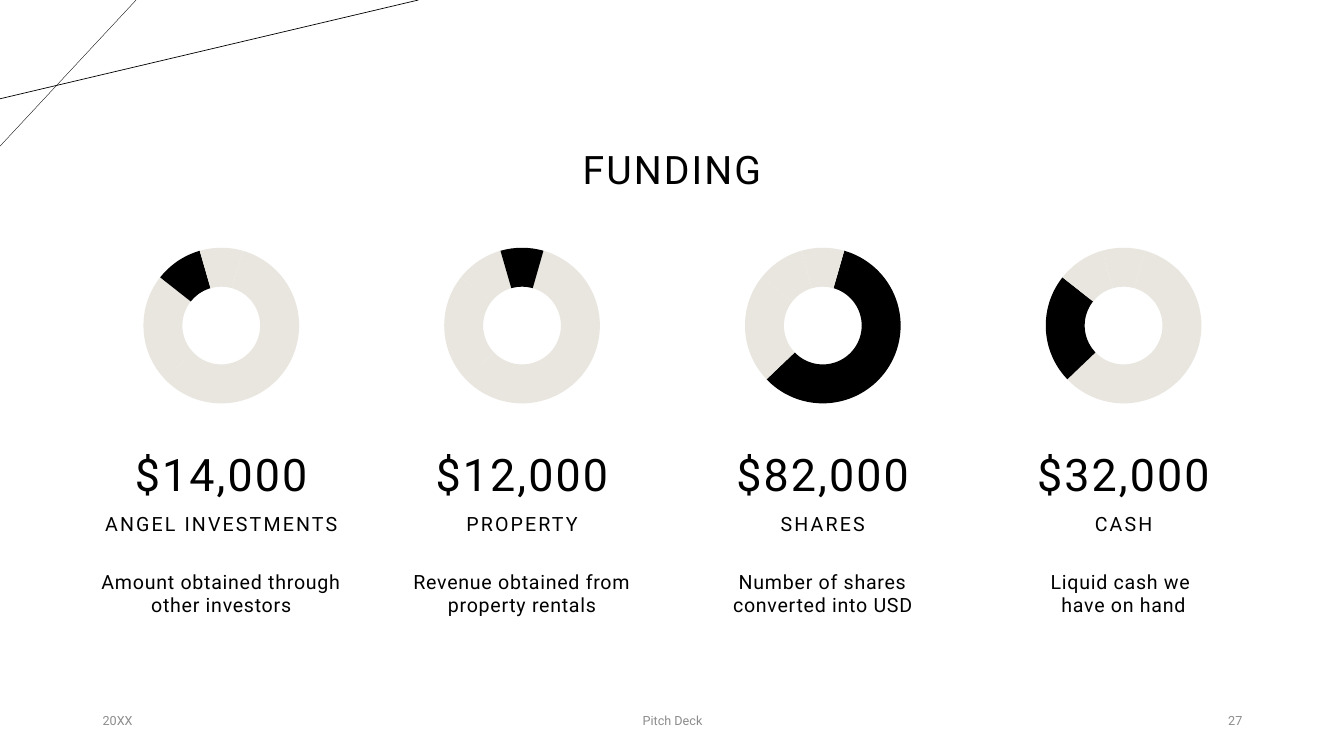
from dataclasses import dataclass

from lxml import etree
from pptx import Presentation
from pptx.chart.data import CategoryChartData
from pptx.dml.color import RGBColor
from pptx.enum.chart import XL_CHART_TYPE as ChartType
from pptx.enum.shapes import MSO_CONNECTOR as Connector
from pptx.enum.text import MSO_ANCHOR as Anchor, PP_ALIGN as Align
from pptx.oxml.ns import qn
from pptx.slide import Slide
from pptx.util import Inches, Pt

FONT = "Roboto"
BLACK, BEIGE, GREY = "000000", "E9E6DF", "8C8C8C"
SHARES_OF_TOTAL = (59, 23, 10, 9)
COLUMN_LEFT, COLUMN_STEP, COLUMN_WIDTH = 0.92, 2.983, 2.55
CHART_INDENT = 0.26


@dataclass(frozen=True)
class Box:
    left: float
    top: float
    width: float
    height: float

    def lengths(self) -> tuple:
        return tuple(Inches(v) for v in (self.left, self.top, self.width, self.height))


@dataclass(frozen=True)
class TextStyle:
    size: float
    spacing: float = 0
    color: str = BLACK
    align: Align = Align.CENTER
    anchor: Anchor = Anchor.MIDDLE
    line_spacing: float = 1.0
    space_before: float = 0
    side_inset: float = 0.1


@dataclass(frozen=True)
class Source:
    amount: str
    label: str
    description: str
    highlighted: int


TITLE = TextStyle(28, 1.5, line_spacing=0.9)
AMOUNT = TextStyle(32, 1.5, anchor=Anchor.BOTTOM, line_spacing=0.9,
                   space_before=10, side_inset=0)
LABEL = TextStyle(14, 1.5, anchor=Anchor.BOTTOM, line_spacing=0.9,
                  space_before=10, side_inset=0)
DESCRIPTION = TextStyle(14, 0.5, anchor=Anchor.TOP, space_before=10, side_inset=0)

SOURCES = (
    Source("$14,000", "ANGEL INVESTMENTS", "Amount obtained through other investors", 2),
    Source("$12,000", "PROPERTY", "Revenue obtained from property rentals", 3),
    Source("$82,000", "SHARES", "Number of shares converted into USD", 0),
    Source("$32,000", "CASH", "Liquid cash we \nhave on hand", 1),
)
FOOTERS = (
    ("20XX", Box(0.92, 6.95, 3, 0.4), Align.LEFT),
    ("Pitch Deck", Box(4.42, 6.95, 4.5, 0.4), Align.CENTER),
    ("27", Box(9.42, 6.95, 3, 0.4), Align.RIGHT),
)


def rgb(color: str) -> RGBColor:
    return RGBColor.from_string(color)


def add_text(slide: Slide, text: str, box: Box, style: TextStyle) -> None:
    frame = slide.shapes.add_textbox(*box.lengths()).text_frame
    frame.word_wrap = True
    frame.vertical_anchor = style.anchor
    frame.margin_left = frame.margin_right = Inches(style.side_inset)
    paragraph = frame.paragraphs[0]
    paragraph.alignment = style.align
    paragraph.line_spacing = style.line_spacing
    paragraph.space_before = Pt(style.space_before)
    for index, line in enumerate(text.split("\n")):
        if index:
            paragraph.add_line_break()
        run = paragraph.add_run()
        run.text = line
        run.font.name = FONT
        run.font.size = Pt(style.size)
        run.font.color.rgb = rgb(style.color)
        run.font._element.set("spc", str(round(style.spacing * 100)))


def add_corner_line(slide: Slide, top_x: float, left_y: float, width: float) -> None:
    """Draw a line from the top edge to the left edge of the slide."""
    line = slide.shapes.add_connector(
        Connector.STRAIGHT, Inches(top_x), 0, 0, Inches(left_y))
    line.line.color.rgb = rgb(BLACK)
    line.line.width = Pt(width)
    etree.SubElement(line._element.spPr, qn("a:effectLst"))


def add_ring(slide: Slide, box: Box, highlighted: int) -> None:
    """Add a doughnut chart with one black slice."""
    data = CategoryChartData()
    data.categories = [str(n + 1) for n in range(len(SHARES_OF_TOTAL))]
    data.add_series("Series 1", SHARES_OF_TOTAL)
    chart = slide.shapes.add_chart(ChartType.DOUGHNUT, *box.lengths(), data).chart
    chart.has_legend = chart.has_title = False
    chart.font.name = FONT
    chart.font.size = Pt(10)
    chart.font.color.rgb = rgb(BLACK)
    plot = chart.plots[0]
    plot.vary_by_categories = True
    for index in range(len(SHARES_OF_TOTAL)):
        slice_format = plot.series[0].points[index].format
        slice_format.fill.solid()
        slice_format.fill.fore_color.rgb = rgb(BLACK if index == highlighted else BEIGE)
        slice_format.line.fill.background()
    doughnut = plot._element
    doughnut.find(qn("c:firstSliceAng")).set("val", "16")
    doughnut.find(qn("c:holeSize")).set("val", "80")


def add_source(slide: Slide, source: Source, left: float) -> None:
    add_ring(slide, Box(left + CHART_INDENT, 2.32, 2.03, 1.82), source.highlighted)
    add_text(slide, source.amount, Box(left, 4.14, COLUMN_WIDTH, 0.88), AMOUNT)
    add_text(slide, source.label, Box(left, 4.88, COLUMN_WIDTH, 0.48), LABEL)
    add_text(slide, source.description, Box(left, 5.6, COLUMN_WIDTH, 0.93), DESCRIPTION)


def main() -> None:
    deck = Presentation()
    deck.slide_width, deck.slide_height = Inches(13.33), Inches(7.5)
    slide = deck.slides.add_slide(deck.slide_layouts[6])
    add_corner_line(slide, 1.35, 1.45, 0.25)
    add_corner_line(slide, 4.15, 0.98, 0.5)
    add_text(slide, "FUNDING", Box(2.06, 0.98, 9.21, 1.45), TITLE)
    for column, source in enumerate(SOURCES):
        add_source(slide, source, COLUMN_LEFT + column * COLUMN_STEP)
    for text, box, align in FOOTERS:
        add_text(slide, text, box, TextStyle(9, color=GREY, align=align))
    deck.save("out.pptx")


if __name__ == "__main__":
    main()
